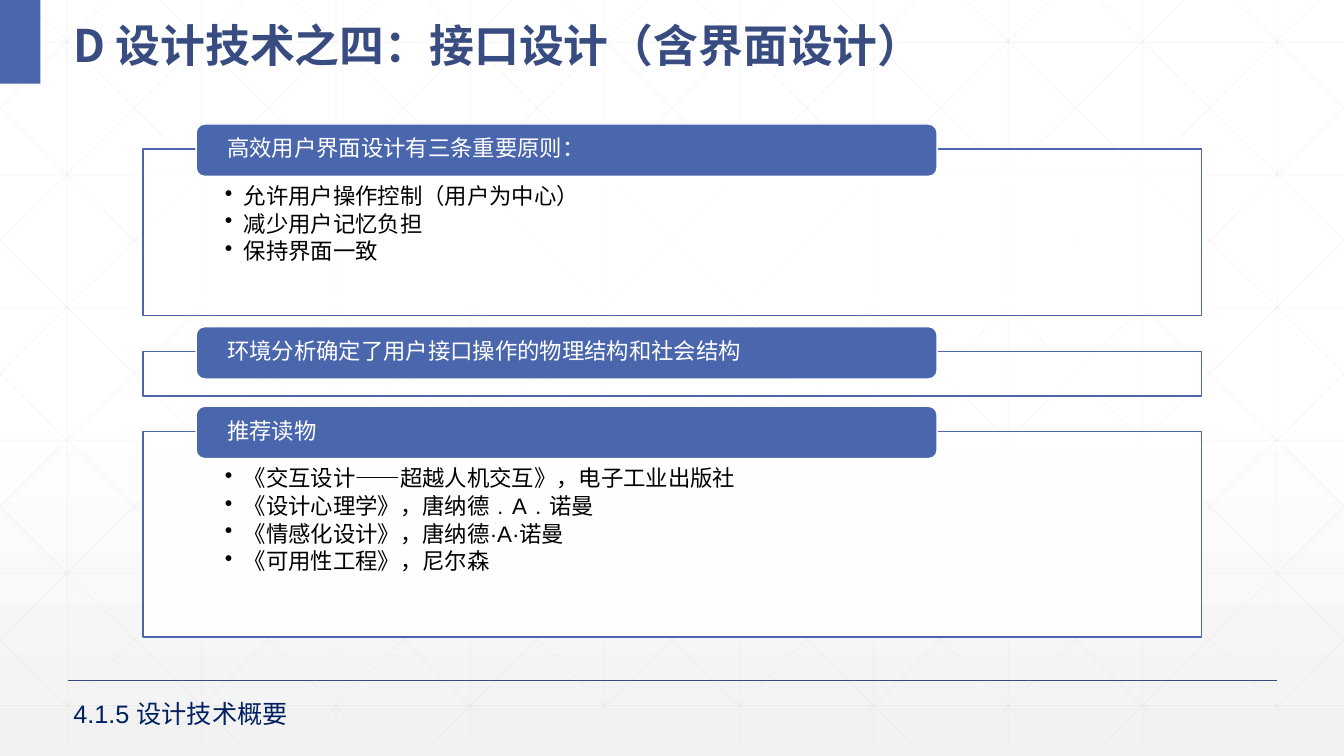
from lxml import etree
from pptx import Presentation
from pptx.dml.color import RGBColor
from pptx.enum import shapes, text
from pptx.oxml import ns
from pptx.util import Inches, Pt

WIDE, HIGH, LOW = 13.33, 7.5, 7.37
STEP = 4 / 3
HUES = {"blue": "4A66AC", "navy": "384C81", "ink": "002060", "grid": "D9D9D9",
        "white": "FFFFFF", "black": "000000", "mist": "F2F2F2"}
CARDS = [
    (1.48, 1.65, "高效用户界面设计有三条重要原则：",
     ["允许用户操作控制（用户为中心）", "减少用户记忆负担", "保持界面一致"]),
    (3.49, 0.44, "环境分析确定了用户接口操作的物理结构和社会结构", []),
    (4.28, 2.04, "推荐读物",
     ["《交互设计——超越人机交互》，电子工业出版社", "《设计心理学》，唐纳德﹒A﹒诺曼",
      "《情感化设计》，唐纳德·A·诺曼", "《可用性工程》，尼尔森"]),
]


def hue(name):
    """Return the named colour."""
    return RGBColor.from_string(HUES[name])


def add(node, tag, **keys):
    """Append a child element with the given attributes."""
    return etree.SubElement(node, ns.qn(tag), **keys)


def fade(fill, share):
    """Make a solid fill partly opaque, in percent."""
    tint = next(fill.iter(ns.qn("a:srgbClr")))
    add(tint, "a:alpha", val=str(share * 1000))


def rule(slide, start, end, name, width, share=100):
    """Draw a straight line between two points."""
    line = slide.shapes.add_connector(
        shapes.MSO_CONNECTOR.STRAIGHT, *map(Inches, start + end))
    line.line.color.rgb = hue(name)
    line.line.width = Pt(width)
    if share < 100:
        fade(line.line._get_or_add_ln(), share)
    add(line._element.spPr, "a:effectLst")


def block(slide, box, kind, fill, edge=None):
    """Draw a filled preset shape."""
    form = slide.shapes.add_shape(kind, *map(Inches, box))
    form.shadow.inherit = False
    form.fill.solid()
    form.fill.fore_color.rgb = hue(fill)
    if edge:
        form.line.color.rgb = hue(edge)
        form.line.width = Pt(1)
    else:
        form.line.fill.background()
    return form


def write(slide, box, lines, size, name, pads=(0.1, 0.05), mid=False,
          face="Arial", bold=False, lead=None, after=0, dots=False):
    """Place a text box holding one paragraph per line."""
    frame = slide.shapes.add_textbox(*map(Inches, box)).text_frame
    frame.word_wrap = True
    frame.margin_left = frame.margin_right = Inches(pads[0])
    frame.margin_top, frame.margin_bottom = Inches(pads[1]), Inches(pads[-1])
    if mid:
        frame.vertical_anchor = text.MSO_ANCHOR.MIDDLE
    frame.text = "\n".join(lines)
    for para in frame.paragraphs:
        if lead:
            para.line_spacing = lead
        props = para._p.get_or_add_pPr()
        if after:
            gap = add(props, "a:spcAft")
            add(gap, "a:spcPct", val=str(after * 1000))
        if dots:
            para.level = 1
            props.set("marL", str(Inches(0.19)))
            props.set("indent", str(Inches(-0.19)))
            add(props, "a:buChar", char="•")
        for run in para.runs:
            run.font.size, run.font.bold = Pt(size), bold
            run.font.name = face
            run.font.color.rgb = hue(name)
            if face != "Arial":
                add(run._r.rPr, "a:ea", typeface=face)
    return frame


def paint(slide):
    """Fill the background with a soft vertical gradient."""
    fill = slide.background.fill
    fill.gradient()
    fill.gradient_angle = 270
    stops = next(slide._element.iter(ns.qn("a:gsLst")))
    for stop in list(stops):
        stops.remove(stop)
    for pos, name in ((0, "white"), (53, "white"), (100, "mist")):
        stop = add(stops, "a:gs", pos=str(pos * 1000))
        add(stop, "a:srgbClr", val=HUES[name])


def mesh(slide):
    """Draw the faint grid with its mirrored diagonals."""
    pen = ("grid", 0.5, 25)
    for col in range(10):
        x = STEP * (col + 0.5)
        rule(slide, (x, 0), (x, LOW), *pen)
    for row in range(6):
        y = 0.42 + 1.316 * row
        rule(slide, (0, y), (WIDE, y), *pen)
    slope = 0.989
    for col in range(-5, 10):
        x = 0.25 + STEP * col
        left, right = max(x, 0), min(x + LOW / slope, WIDE)
        top, base = (left - x) * slope, (right - x) * slope
        rule(slide, (left, top), (right, base), *pen)
        rule(slide, (WIDE - left, top), (WIDE - right, base), *pen)


def card(slide, box, head, items):
    """Draw a framed list with a heading tab over its top edge."""
    left, top, wide, _ = box
    kind = shapes.MSO_SHAPE
    frame = block(slide, box, kind.RECTANGLE, "white", "blue")
    fade(frame._element.spPr.find(ns.qn("a:solidFill")), 90)
    if items:
        write(slide, box, items, 16, "black", (0.81, 0.36, 0.12),
              lead=0.9, after=15, dots=True)
    tab = (left + 0.05 * wide, top - 0.25, 0.7 * wide, 0.52)
    block(slide, tab, kind.ROUNDED_RECTANGLE, "blue", "white")
    inner = (tab[0] + 0.03, tab[1] + 0.02, tab[2] - 0.05, 0.47)
    write(slide, inner, [head], 16, "white", (0.28, 0), mid=True,
          lead=0.9, after=35)


def main():
    """Build the slide and save it."""
    deck = Presentation()
    deck.slide_width, deck.slide_height = Inches(WIDE), Inches(HIGH)
    slide = deck.slides.add_slide(deck.slide_layouts[6])
    paint(slide)
    mesh(slide)
    rule(slide, (0.67, 6.75), (12.67, 6.75), "navy", 1)
    block(slide, (0, 0, 0.4, 0.83), shapes.MSO_SHAPE.RECTANGLE, "blue")
    write(slide, (0.63, 0, 8.76, 0.73), ["D 设计技术之四：接口设计（含界面设计）"],
          32, "navy", mid=True, face="Noto Sans CJK SC", bold=True, lead=1.3)
    for top, high, head, items in CARDS:
        card(slide, (1.42, top, 10.5, high), head, items)
    foot = write(slide, (0.63, 6.88, 3.53, 0.4), ["4.1.5 设计技术概要"], 18, "ink")
    foot.auto_size = text.MSO_AUTO_SIZE.SHAPE_TO_FIT_TEXT
    deck.save("out.pptx")


if __name__ == "__main__":
    main()
